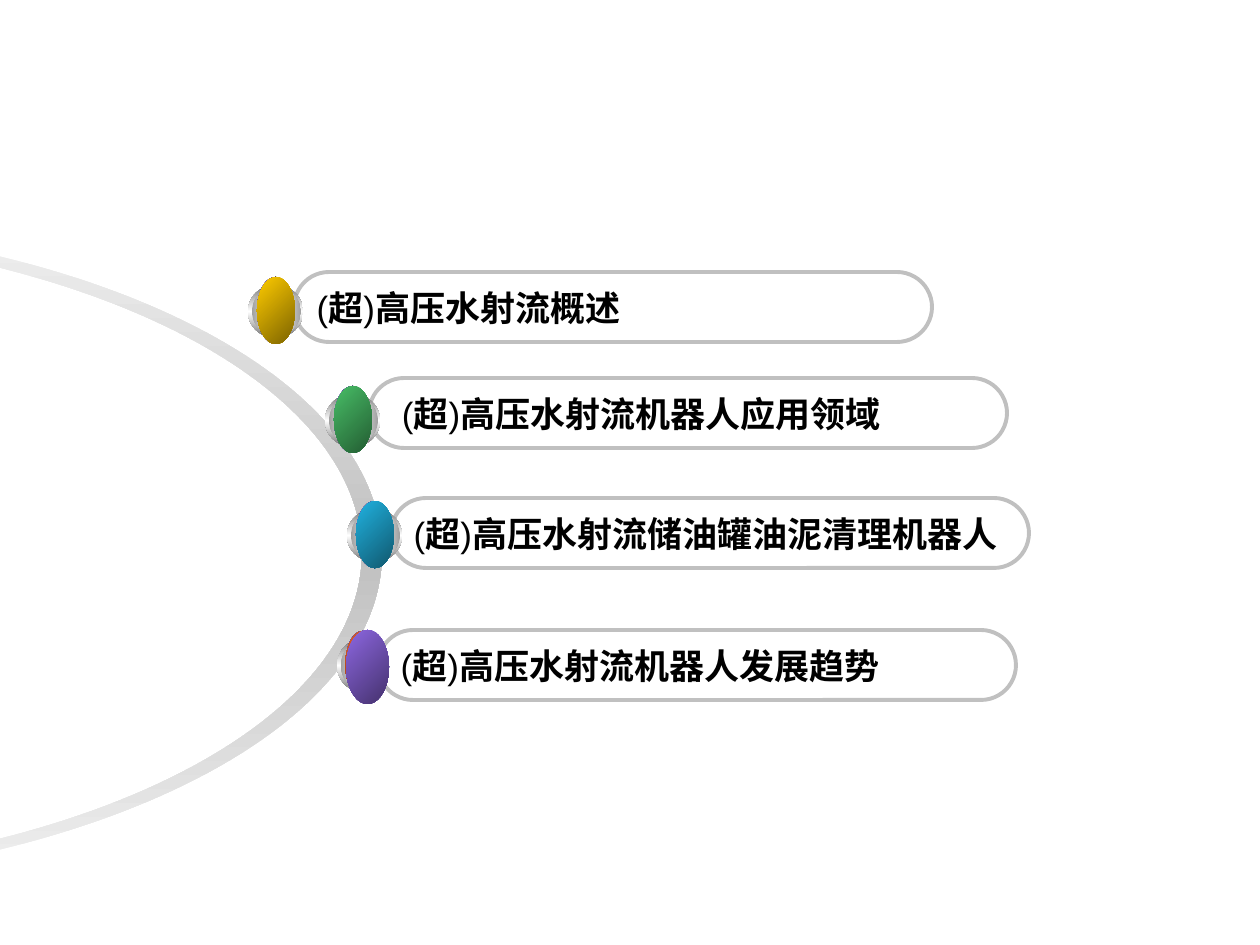
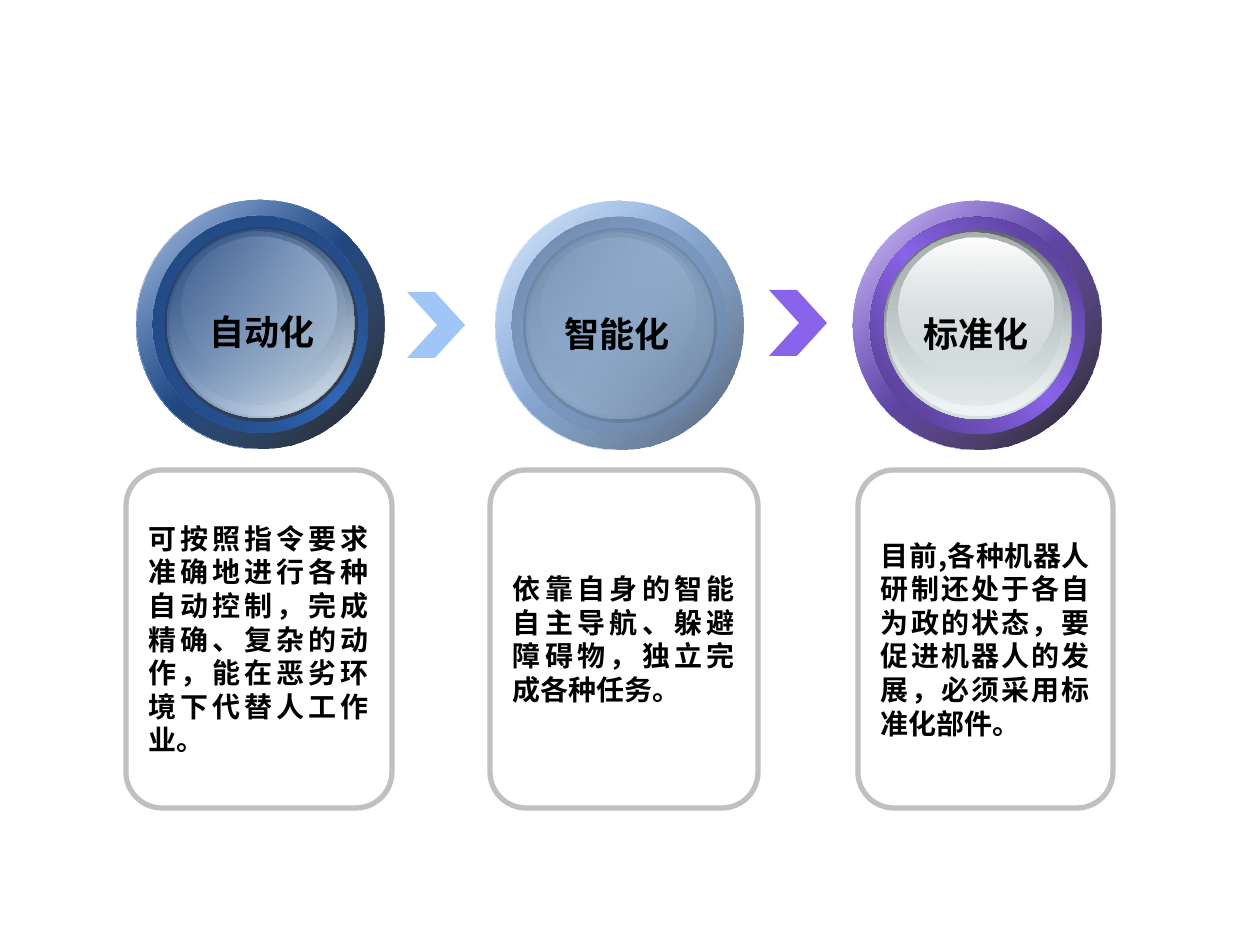
"""Build two slides: an agenda along an arc, and three development trends."""
from lxml import etree
from pptx import Presentation
from pptx import util as u
from pptx.dml.color import RGBColor
from pptx.enum import shapes, text
from pptx.oxml.ns import qn

SCALE = 914400 / 126
SLIDE_SIZE = (1260, 945)
LATIN_FONT, CHINESE_FONT = "Arial", "Noto Sans CJK SC"

BLACK = RGBColor(0x00, 0x00, 0x00)
WHITE = RGBColor(0xFF, 0xFF, 0xFF)
OUTLINE = RGBColor(0xC0, 0xC0, 0xC0)
ARC_TIP = RGBColor(0xF0, 0xF0, 0xF0)
CORE = RGBColor(0x33, 0x33, 0x33)
BEZEL_DARK = RGBColor(0x76, 0x76, 0x76)
BEZEL_MID = RGBColor(0xA2, 0xA2, 0xA2)
GLASS = RGBColor(0xD6, 0xE1, 0xE2)
GLASS_DARK = RGBColor(0x63, 0x68, 0x69)
GLASS_MID = RGBColor(0xAA, 0xB2, 0xB3)
GLASS_LIGHT = RGBColor(0xF1, 0xF5, 0xF5)
YELLOW = RGBColor(0xFF, 0xCC, 0x00)
YELLOW_DARK = RGBColor(0x7C, 0x63, 0x00)
GREEN = RGBColor(0x48, 0xBE, 0x67)
GREEN_DARK = RGBColor(0x23, 0x5C, 0x32)
CYAN = RGBColor(0x21, 0xB3, 0xE1)
CYAN_DARK = RGBColor(0x10, 0x57, 0x6D)
ORANGE = RGBColor(0xE3, 0x5E, 0x23)
ORANGE_DARK = RGBColor(0x6E, 0x2E, 0x11)
VIOLET = RGBColor(0x8D, 0x67, 0xE1)
VIOLET_DARK = RGBColor(0x45, 0x32, 0x6D)
PURPLE = RGBColor(0x89, 0x63, 0xE9)
PURPLE_DARK = RGBColor(0x4A, 0x36, 0x7E)
PURPLE_VEIL = RGBColor(0x57, 0x3F, 0x94)
BLUE = RGBColor(0x30, 0x67, 0xB8)
BLUE_DARK = RGBColor(0x1A, 0x38, 0x64)
BLUE_VEIL = RGBColor(0x1F, 0x41, 0x75)
SKY = RGBColor(0xA0, 0xC6, 0xF8)
SKY_DARK = RGBColor(0x57, 0x6B, 0x86)
SKY_VEIL = RGBColor(0x66, 0x7E, 0x9E)
SKY_SHADE = RGBColor(0x4A, 0x5C, 0x73)

ARC_START = (-306, 231)
ARC_SEGMENTS = [
    [(64, 233), (362, 377), (362, 553)],
    [(362, 730), (64, 873), (-306, 876)],
    [(-306, 886)],
    [(76, 882), (382, 735), (382, 553)],
    [(382, 372), (76, 223), (-306, 221)],
]
PILL_SIZE = (638, 70)
AGENDA = [
    {"topic": "高压水射流概述", "pill": (294, 272), "indent": 0,
     "knob": (248, 285), "squeeze": 1, "colors": (YELLOW, YELLOW_DARK)},
    {"topic": "高压水射流机器人应用领域", "pill": (369, 378), "indent": 10,
     "knob": (325, 394), "squeeze": 1, "colors": (GREEN, GREEN_DARK)},
    {"topic": "高压水射流储油罐油泥清理机器人", "pill": (391, 498), "indent": 0,
     "knob": (347, 509), "squeeze": 1, "colors": (CYAN, CYAN_DARK)},
    {"topic": "高压水射流机器人发展趋势", "pill": (378, 630), "indent": 0,
     "knob": (337, 639), "squeeze": 0.93, "colors": (ORANGE, ORANGE_DARK)},
]
LAST_KNOB_COVER = (346, 630, 43, 74)

TRENDS = [
    {"name": "自动化", "label": (262, 304), "disc": (136, 200),
     "colors": (BLUE, BLUE_DARK, BLUE_VEIL), "shade": (BLACK, 90),
     "layers": ["halo", "shade", "ring", "core", "glass", "veil"],
     "panel": (126, 266), "font": LATIN_FONT,
     "detail": "可按照指令要求准确地进行各种自动控制，完成精确、复杂的动作，能在恶劣环境下代替人工作业。"},
    {"name": "智能化", "label": (617, 306), "disc": (495, 201),
     "colors": (SKY, SKY_DARK, SKY_VEIL), "shade": (SKY_SHADE, 100),
     "layers": ["halo", "ring", "core", "glass", "shade", "veil"],
     "panel": (490, 268), "font": LATIN_FONT,
     "detail": "依靠自身的智能自主导航、躲避障碍物，独立完成各种任务。"},
    {"name": "标准化", "label": (976, 306), "disc": (853, 201),
     "colors": (PURPLE, PURPLE_DARK, PURPLE_VEIL), "shade": (BLACK, 90),
     "layers": ["halo", "shade", "veil", "core", "ring", "glass"],
     "panel": (858, 255), "font": CHINESE_FONT,
     "detail": "目前,各种机器人研制还处于各自为政的状态，要促进机器人的发展，必须采用标准化部件。"},
]
PANEL_TOP, PANEL_HEIGHT, PANEL_RADIUS = 470, 338, 36
LABEL_SIZE = (140, 55)
CHEVRONS = [((407, 292), SKY), ((769, 290), PURPLE)]
CHEVRON_SIZE = (58, 66)
HALO_BOX, RING_BOX, CORE_BOX = (0, 0, 248, 249), (17, 16, 215, 217), (28, 27, 194, 195)
GLASS_LAYERS = [
    ((31, 29, 188, 189), [(0, GLASS_DARK), (100, GLASS)]),
    ((33, 31, 184, 184), [(0, GLASS, 0), (100, GLASS_LIGHT)]),
    ((35, 32, 174, 173), [(0, GLASS_MID), (100, GLASS, 48)]),
    ((45, 37, 155, 140), [(0, WHITE), (100, GLASS, 38)]),
]


def px(value):
    """Turn px into EMU."""
    return u.Emu(round(value * SCALE))


def mirrored(edge, middle):
    """Return gradient stops that run from edge to middle and back."""
    return [(0, edge), (50, middle), (100, edge)]


def fill_gradient(shape, stops, angle):
    """Fill a shape with a linear gradient of (position, colour, opacity) stops."""
    shape.fill.gradient()
    gradient = shape._element.spPr.find(qn("a:gradFill"))
    stop_list = gradient.find(qn("a:gsLst"))
    for old_stop in list(stop_list):
        stop_list.remove(old_stop)
    for position, color, *opacity in stops:
        stop = etree.SubElement(stop_list, qn("a:gs"), pos=str(position * 1000))
        value = etree.SubElement(stop, qn("a:srgbClr"), val=str(color))
        for percent in opacity:
            etree.SubElement(value, qn("a:alpha"), val=str(percent * 1000))
    gradient.find(qn("a:lin")).set("ang", str(angle * 60000))


def add_plain(slide, kind, box):
    """Add a preset shape with no shadow, fill or line."""
    shape = slide.shapes.add_shape(kind, *map(px, box))
    shape.shadow.inherit = False
    shape.fill.background()
    shape.line.fill.background()
    return shape


def add_ellipse(slide, origin, box):
    """Add an ellipse at an offset from an origin."""
    left, top, width, height = box
    return add_plain(slide, shapes.MSO_SHAPE.OVAL,
                     (origin[0] + left, origin[1] + top, width, height))


def add_outlined(slide, box, radius, weight):
    """Add a rounded rectangle with a grey outline."""
    shape = add_plain(slide, shapes.MSO_SHAPE.ROUNDED_RECTANGLE, box)
    shape.adjustments[0] = radius / min(box[2:])
    shape.line.color.rgb = OUTLINE
    shape.line.width = u.Pt(weight)
    return shape


def write(shape, runs, size, alignment, wrap, font=LATIN_FONT):
    """Write (text, bold) runs as the one paragraph of a shape."""
    shape.text_frame.word_wrap = wrap
    paragraph = shape.text_frame.paragraphs[0]
    paragraph.alignment = alignment
    paragraph.line_spacing = u.Pt(size * 1.2)
    paragraph.font.name = font
    paragraph.font.size = u.Pt(size)
    paragraph.font.color.rgb = BLACK
    defaults = paragraph._p.pPr.find(qn("a:defRPr"))
    etree.SubElement(defaults, qn("a:ea"), typeface=CHINESE_FONT)
    for words, bold in runs:
        run = paragraph.add_run()
        run.text = words
        run.font.bold = bold


def add_arc(slide):
    """Add the tapering half ring on the left, bending its straight segments."""
    corners = [tuple(map(px, segment[-1])) for segment in ARC_SEGMENTS]
    builder = slide.shapes.build_freeform(*map(px, ARC_START))
    builder.add_line_segments(corners, close=True)
    arc = builder.convert_to_shape()
    arc.shadow.inherit = False
    arc.line.fill.background()
    fill_gradient(arc, mirrored(ARC_TIP, OUTLINE), 90)
    lines = list(arc._element.iter(qn("a:lnTo")))
    for line, segment in zip(lines, ARC_SEGMENTS):
        if len(segment) == 3:
            line.tag = qn("a:cubicBezTo")
            for index, (x, y) in enumerate(segment[:2]):
                point = etree.Element(qn("a:pt"), x=str(px(x) - arc.left),
                                      y=str(px(y) - arc.top))
                line.insert(index, point)


def add_knob(slide, origin, squeeze, light, dark):
    """Add a coloured knob set in a grey bezel."""
    layers = [
        ((0, 0, 55, 53), mirrored(BEZEL_DARK, WHITE), 90),
        ((4, 3, 49, 47), mirrored(BEZEL_MID, WHITE), 0),
        ((15, -8, 25, 67), mirrored(WHITE, PURPLE), 45),
        ((15, -8, 25, 67), [(0, BLACK), (100, light)], 45),
        ((9, -8, 37, 67), mirrored(PURPLE_DARK, PURPLE), 315),
        ((9, -8, 38, 67), [(0, light), (100, dark)], 45),
    ]
    for (left, top, width, height), stops, angle in layers:
        box = (left * squeeze, top, width * squeeze, height)
        fill_gradient(add_ellipse(slide, origin, box), stops, angle)


def add_disc(slide, trend):
    """Add a glass button from its stacked layers."""
    color, dark, veil = trend["colors"]
    layers = {
        "halo": [(HALO_BOX, mirrored(WHITE, color), 45)],
        "shade": [(HALO_BOX, [(0, color, 32), (100, *trend["shade"])], 45)],
        "ring": [(RING_BOX, mirrored(dark, color), 315)],
        "core": [(CORE_BOX, None, 0)],
        "glass": [(box, stops, 90) for box, stops in GLASS_LAYERS],
        "veil": [(RING_BOX, [(0, veil), (100, color, 0)], 45)],
    }
    for name in trend["layers"]:
        for box, stops, angle in layers[name]:
            ellipse = add_ellipse(slide, trend["disc"], box)
            if stops:
                fill_gradient(ellipse, stops, angle)
            else:
                fill_solid(ellipse, CORE)


def fill_solid(shape, color):
    """Fill a shape with one colour."""
    shape.fill.solid()
    shape.fill.fore_color.rgb = color


def build_agenda(slide):
    """Place the agenda pills and knobs along the arc."""
    add_arc(slide)
    for item in AGENDA:
        pill = add_outlined(slide, item["pill"] + PILL_SIZE, PILL_SIZE[1] / 2, 2.25)
        pill.text_frame.margin_left = u.Inches(0.1) + px(item["indent"])
        runs = [("(", False), ("超", True), (")", False), (item["topic"], True)]
        write(pill, runs, 20, text.PP_ALIGN.LEFT, False)
        add_knob(slide, item["knob"], item["squeeze"], *item["colors"])
    cover = add_ellipse(slide, (0, 0), LAST_KNOB_COVER)
    fill_gradient(cover, [(0, VIOLET), (100, VIOLET_DARK)], 45)


def build_trends(slide):
    """Place the three trends with their buttons, labels and panels."""
    for trend in TRENDS:
        add_disc(slide, trend)
        left, width = trend["panel"]
        panel = add_outlined(slide, (left, PANEL_TOP, width, PANEL_HEIGHT), PANEL_RADIUS, 3)
        write(panel, [(trend["detail"], True)], 16, text.PP_ALIGN.JUSTIFY, True, trend["font"])
        center, top = trend["label"]
        label_box = (center - LABEL_SIZE[0] / 2, top) + LABEL_SIZE
        label = slide.shapes.add_textbox(*map(px, label_box))
        write(label, [(trend["name"], True)], 20, text.PP_ALIGN.CENTER, True)
    for corner, color in CHEVRONS:
        chevron = add_plain(slide, shapes.MSO_SHAPE.CHEVRON, corner + CHEVRON_SIZE)
        chevron.adjustments[0] = 0.52
        fill_solid(chevron, color)


def main():
    """Build and save the presentation."""
    presentation = Presentation()
    presentation.slide_width, presentation.slide_height = map(px, SLIDE_SIZE)
    for build in (build_agenda, build_trends):
        build(presentation.slides.add_slide(presentation.slide_layouts[6]))
    presentation.save("out.pptx")


if __name__ == "__main__":
    main()
